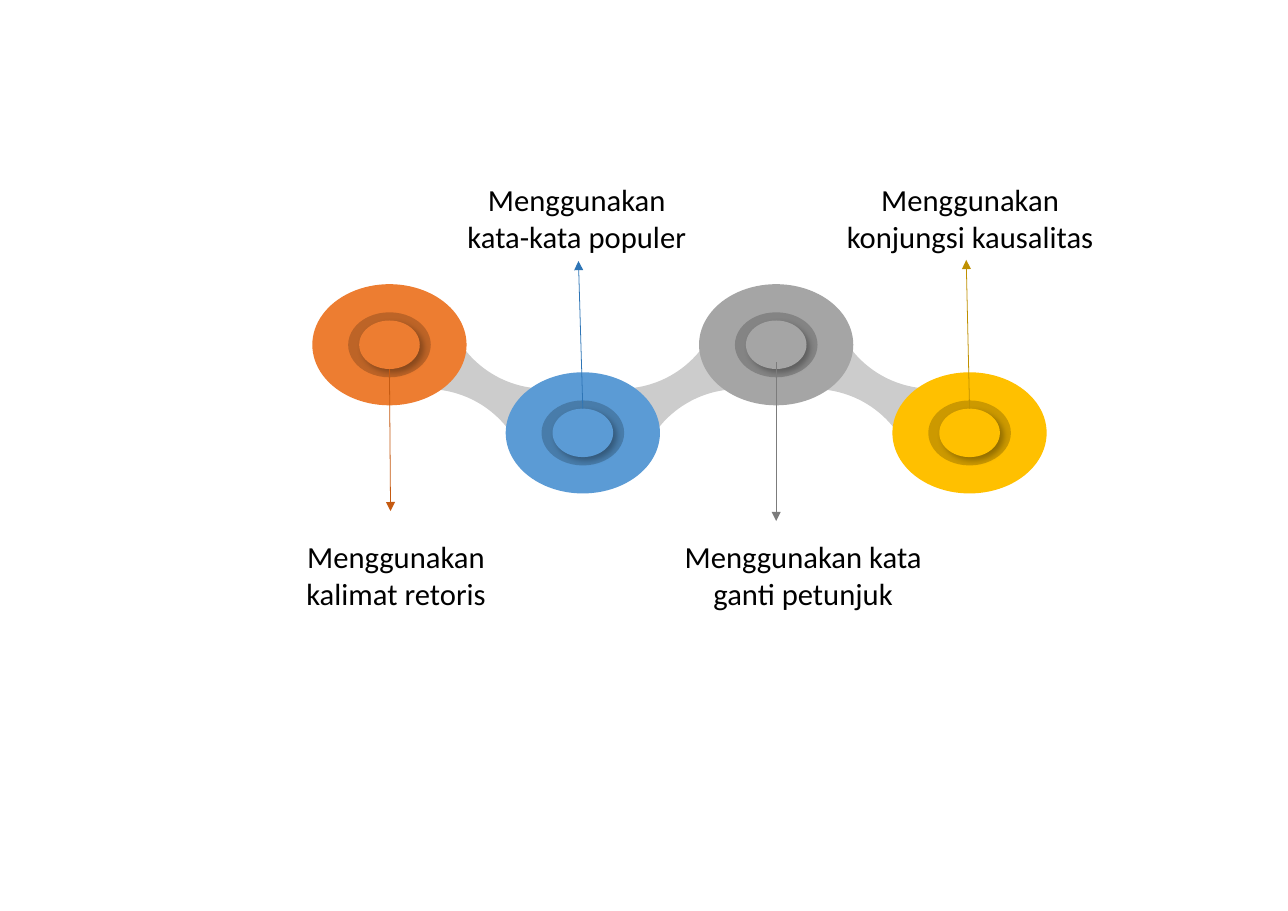
"""Build a slide with four linked discs, each pointing to a language feature."""
from lxml import etree
from pptx import Presentation
from pptx.dml.color import RGBColor
from pptx.enum.shapes import MSO_CONNECTOR as CONNECTOR, MSO_SHAPE as SHAPE
from pptx.enum.text import MSO_ANCHOR as ANCHOR, MSO_AUTO_SIZE as AUTO_SIZE, PP_ALIGN as ALIGN
from pptx.oxml import parse_xml
from pptx.oxml.ns import nsdecls, qn
from pptx.util import Pt

PX = 9144
WIDTH, HEIGHT = 1169, 827

BLACK = RGBColor(0x00, 0x00, 0x00)
ORANGE, DARK_ORANGE = RGBColor(0xED, 0x7D, 0x31), RGBColor(0xC5, 0x5A, 0x11)
BLUE, DARK_BLUE = RGBColor(0x5B, 0x9B, 0xD5), RGBColor(0x2E, 0x75, 0xB6)
GRAY, DARK_GRAY = RGBColor(0xA5, 0xA5, 0xA5), RGBColor(0x7C, 0x7C, 0x7C)
GOLD, DARK_GOLD = RGBColor(0xFF, 0xC0, 0x00), RGBColor(0xBF, 0x90, 0x00)

# text, disc colour, arrow colour, arrow start y, arrow tip (dx, y), label (left, width)
FEATURES = [
    ("Menggunakan kalimat retoris", ORANGE, DARK_ORANGE, 335, (1, 464), (263, 193)),
    ("Menggunakan kata-kata populer", BLUE, DARK_BLUE, 371, (-4, 237), (412, 223)),
    ("Menggunakan kata ganti petunjuk", GRAY, DARK_GRAY, 329, (0, 473), (615, 228)),
    ("Menggunakan konjungsi kausalitas", GOLD, DARK_GOLD, 371, (-3, 236), (768, 225)),
]
FIRST_X, PITCH = 353.5, 175.5
DISC_Y = (313, 393)
LABEL_TOP, LABEL_HEIGHT = (483, 159), 77
DISC, RING, BUTTON = (140, 110), (75, 59), (55, 44)
LINK = (63, 102)
LINK_ROTATION = (300, 240)
LINK_CORNERS = [(0, 0), (63, 0), (61, 1)]
LINK_CURVES = [(52, 14), (46, 32), (46, 51), (46, 70), (52, 88), (61, 101)]
SHADOW = f"""<a:effectLst {nsdecls('a')}>
<a:outerShdw blurRad="50800" dist="38100" dir="2700000" algn="tl" rotWithShape="0">
<a:srgbClr val="000000"><a:alpha val="27000"/></a:srgbClr></a:outerShdw></a:effectLst>"""
LABEL_FORMAT = {
    "word_wrap": True, "vertical_anchor": ANCHOR.BOTTOM,
    "auto_size": AUTO_SIZE.SHAPE_TO_FIT_TEXT,
    "margin_left": 0, "margin_right": 0, "margin_top": 5 * PX, "margin_bottom": 5 * PX,
}
FONT_FORMAT = {"name": "Calibri", "size": Pt(20)}


def emu(*lengths):
    return [round(length * PX) for length in lengths]


def paint(shape, color, opacity=None):
    shape.shadow.inherit = False
    shape.fill.solid()
    shape.fill.fore_color.rgb = color
    shape.line.fill.background()
    if opacity:
        color_element = shape.fill._xPr.find(f"{qn('a:solidFill')}/{qn('a:srgbClr')}")
        etree.SubElement(color_element, qn("a:alpha")).set("val", str(opacity * 1000))


def bend(segments):
    """Join three straight segments into one cubic curve."""
    curve = etree.Element(qn("a:cubicBezTo"))
    segments[0].addprevious(curve)
    for segment in segments:
        curve.append(segment[0])
        segment.getparent().remove(segment)


def add_link(slide, center_x, center_y, rotation):
    width, height = LINK
    half = LINK_CORNERS + LINK_CURVES
    outline = half + [(width - x, height - y) for x, y in half]
    left, top = center_x - width / 2, center_y - height / 2
    points = [emu(left + x, top + y) for x, y in outline]
    builder = slide.shapes.build_freeform(*points[0])
    builder.add_line_segments(points[1:], close=True)
    link = builder.convert_to_shape()
    segments = list(link._element.iter(qn("a:lnTo")))
    for side in (0, len(half)):
        first = side + len(LINK_CORNERS) - 1
        for start in (first, first + 3):
            bend(segments[start:start + 3])
    link.rotation = rotation
    paint(link, BLACK, 20)


def add_disc(slide, center_x, center_y, color):
    group = slide.shapes.add_group_shape()
    for (width, height), fill, opacity in (
        (DISC, color, None), (RING, BLACK, 20), (BUTTON, color, None),
    ):
        box = emu(center_x - width / 2, center_y - height / 2, width, height)
        shape = group.shapes.add_shape(SHAPE.OVAL, *box)
        paint(shape, fill, opacity)
    properties = shape._element.spPr
    properties.replace(properties.find(qn("a:effectLst")), parse_xml(SHADOW))


def add_arrow(slide, start, tip, color):
    arrow = slide.shapes.add_connector(CONNECTOR.STRAIGHT, *emu(*start, *tip))
    arrow.line.color.rgb = color
    arrow.line.width = Pt(0.5)
    etree.SubElement(arrow.line._get_or_add_ln(), qn("a:tailEnd")).set("type", "triangle")
    etree.SubElement(arrow._element.spPr, qn("a:effectLst"))


def add_label(slide, text, left, top, width):
    frame = slide.shapes.add_textbox(*emu(left, top, width, LABEL_HEIGHT)).text_frame
    for name, value in LABEL_FORMAT.items():
        setattr(frame, name, value)
    paragraph = frame.paragraphs[0]
    paragraph.alignment = ALIGN.CENTER
    run = paragraph.add_run()
    run.text = text
    for name, value in FONT_FORMAT.items():
        setattr(run.font, name, value)
    run.font.color.rgb = BLACK


def main():
    presentation = Presentation()
    presentation.slide_width, presentation.slide_height = emu(WIDTH, HEIGHT)
    slide = presentation.slides.add_slide(presentation.slide_layouts[6])
    centers = [(FIRST_X + PITCH * i, DISC_Y[i % 2]) for i in range(len(FEATURES))]

    for i, ((x1, y1), (x2, y2)) in enumerate(zip(centers, centers[1:])):
        add_link(slide, (x1 + x2) / 2, (y1 + y2) / 2, LINK_ROTATION[i % 2])
    for (x, y), feature in zip(centers, FEATURES):
        add_disc(slide, x, y, feature[1])
    for i, (text, _, color, start_y, (dx, tip_y), (left, width)) in enumerate(FEATURES):
        x = centers[i][0]
        add_arrow(slide, (x, start_y), (x + dx, tip_y), color)
        add_label(slide, text, left, LABEL_TOP[i % 2], width)

    presentation.save("out.pptx")


if __name__ == "__main__":
    main()
